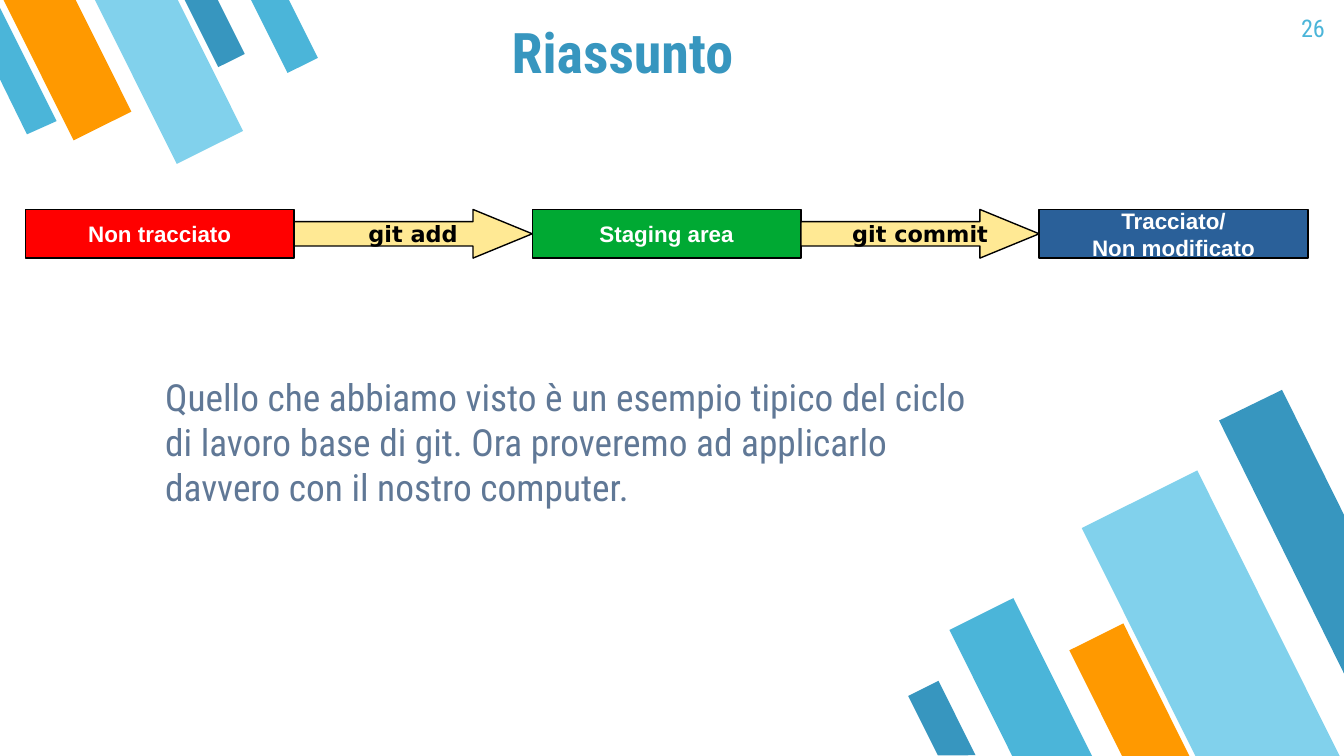
from lxml import etree
from pptx import Presentation
from pptx.dml.color import RGBColor
from pptx.enum.shapes import MSO_SHAPE
from pptx.enum.text import MSO_ANCHOR, MSO_AUTO_SIZE, PP_ALIGN
from pptx.oxml.ns import qn
from pptx.util import Cm, Pt

BAR, BOX = MSO_SHAPE.FLOWCHART_MANUAL_INPUT, MSO_SHAPE.RECTANGLE
LEFT, CENTER, RIGHT = PP_ALIGN.LEFT, PP_ALIGN.CENTER, PP_ALIGN.RIGHT
TOP, MIDDLE, BOTTOM = MSO_ANCHOR.TOP, MSO_ANCHOR.MIDDLE, MSO_ANCHOR.BOTTOM
NO_AUTOFIT = MSO_AUTO_SIZE.NONE

BLUE, SKY, PALE, ORANGE = "3796BF", "4BB5D9", "81D1EC", "FF9900"
FONT = "Roboto Condensed"

TITLE = "Riassunto"
BODY = ("Quello che abbiamo visto è un esempio tipico del ciclo di lavoro base di git. "
        "Ora proveremo ad applicarlo davvero con il nostro computer.")
NUMBER = "26"
STATES = [
    ("Non tracciato", "FF0000"),
    ("Staging area", "00A933"),
    ("Tracciato/\nNon modificato", "2A6099"),
]
COMMANDS = ["git add", "git commit"]

BARS = {
    153.5: [
        (18.62, 11.43, 1.35, 3.35, SKY),
        (21.67, 9.12, 2.44, 6.07, PALE),
        (20.78, 11.89, 1.14, 2.82, ORANGE),
        (17.48, 12.93, 0.64, 1.57, BLUE),
    ],
    333.5: [
        (3.78, -0.2, 0.56, 1.42, BLUE),
        (0.66, -0.46, 1.22, 3, ORANGE),
        (2.49, -0.51, 1.4, 3.48, PALE),
        (5.05, -0.25, 0.64, 1.57, SKY),
    ],
}
EDGE_BARS = [
    ([(24.23, 7.37), (23.04, 7.95), (25.4, 12.73), (25.4, 9.73)], BLUE),
    ([(0.51, 2.54), (1.07, 2.29), (0, 0.15), (0, 1.5)], SKY),
]

FLOW_LEFT, FLOW_TOP, FLOW_STEP = 0.48, 3.96, 9.58
BOX_WIDTH, FLOW_HEIGHT, HEAD_LENGTH = 5.08, 0.92, 1.12


def color(hex_string):
    """Turn a hex string into a colour."""
    return RGBColor.from_string(hex_string)


def paint(shape, fill, outline=None):
    """Give a shape its fill and outline, without a shadow."""
    shape.shadow.inherit = False
    shape.fill.solid()
    shape.fill.fore_color.rgb = color(fill)
    if outline:
        shape.line.color.rgb = color(outline)
        shape.line.width = Pt(0.75)
    else:
        shape.line.fill.background()


def write(shape, text, font, size, ink, bold=False, align=LEFT, anchor=TOP, inset=0.25):
    """Put formatted text into a shape."""
    frame = shape.text_frame
    frame.text = text
    frame.word_wrap = True
    frame.auto_size = NO_AUTOFIT
    frame.vertical_anchor = anchor
    frame.margin_left = frame.margin_right = Cm(0.25)
    frame.margin_top = frame.margin_bottom = Cm(inset)
    for paragraph in frame.paragraphs:
        paragraph.alignment = align
        for run in paragraph.runs:
            run.font.name = font
            run.font.size = Pt(size)
            run.font.bold = bold
            run.font.color.rgb = color(ink)


def place(shape, left, top, width, height):
    """Move and size a shape in centimetres."""
    shape.left, shape.top = Cm(left), Cm(top)
    shape.width, shape.height = Cm(width), Cm(height)


def add_polygon(slide, points):
    """Draw a closed outline through points in centimetres."""
    corners = [(Cm(x), Cm(y)) for x, y in points]
    builder = slide.shapes.build_freeform(*corners[0])
    builder.add_line_segments(corners[1:], close=True)
    return builder.convert_to_shape()


def add_decoration(slide):
    """Draw the slanted bars in both corners."""
    for rotation, bars in BARS.items():
        for left, top, width, height, fill in bars:
            bar = slide.shapes.add_shape(BAR, Cm(left), Cm(top), Cm(width), Cm(height))
            bar.rotation = rotation
            bar._element.spPr.find(qn("a:xfrm")).set("flipH", "1")
            paint(bar, fill)
    for points, fill in EDGE_BARS:
        paint(add_polygon(slide, points), fill)


def add_texts(slide):
    """Fill the title, the body and the slide number."""
    title, body = slide.shapes.title, slide.placeholders[1]
    place(title, 9.42, 0.94, 8.43, 0.91)
    write(title, TITLE, FONT, 30, BLUE, bold=True, anchor=BOTTOM)
    place(body, 2.87, 6.83, 16.15, 7.01)
    write(body, BODY, FONT, 20, "607896")
    paragraph = body.text_frame.paragraphs[0]
    paragraph.space_before = Pt(6)
    properties = paragraph._p.get_or_add_pPr()
    properties.set("marL", "0")
    properties.set("indent", "0")
    etree.SubElement(properties, qn("a:buNone"))
    number = slide.shapes.add_textbox(Cm(23.77), Cm(0), Cm(1.52), Cm(1.09))
    write(number, NUMBER, FONT, 13, SKY, align=RIGHT)


def add_flow(slide):
    """Draw the states and the command arrows between them."""
    label = dict(size=12, bold=True, align=CENTER, anchor=MIDDLE, inset=0.13)
    for index, (text, fill) in enumerate(STATES):
        box = slide.shapes.add_shape(BOX, Cm(FLOW_LEFT + index * FLOW_STEP), Cm(FLOW_TOP),
                                     Cm(BOX_WIDTH), Cm(FLOW_HEIGHT))
        paint(box, fill, "000000")
        write(box, text, "Arial", ink="FFFFFF", **label)
    upper, middle, lower, bottom = (FLOW_TOP + FLOW_HEIGHT * part / 4 for part in range(1, 5))
    for index, text in enumerate(COMMANDS):
        start = FLOW_LEFT + index * FLOW_STEP + BOX_WIDTH
        tip = FLOW_LEFT + (index + 1) * FLOW_STEP
        neck = tip - HEAD_LENGTH
        arrow = add_polygon(slide, [(start, upper), (neck, upper), (neck, FLOW_TOP), (tip, middle),
                                    (neck, bottom), (neck, lower), (start, lower)])
        paint(arrow, "FFE994", "000000")
        write(arrow, text, "DejaVu Sans", ink="000000", **label)


def main():
    """Build the slide and save it."""
    presentation = Presentation()
    presentation.slide_width, presentation.slide_height = Cm(25.4), Cm(14.29)
    slide = presentation.slides.add_slide(presentation.slide_layouts[1])
    add_decoration(slide)
    add_texts(slide)
    add_flow(slide)
    presentation.save("out.pptx")


if __name__ == "__main__":
    main()
